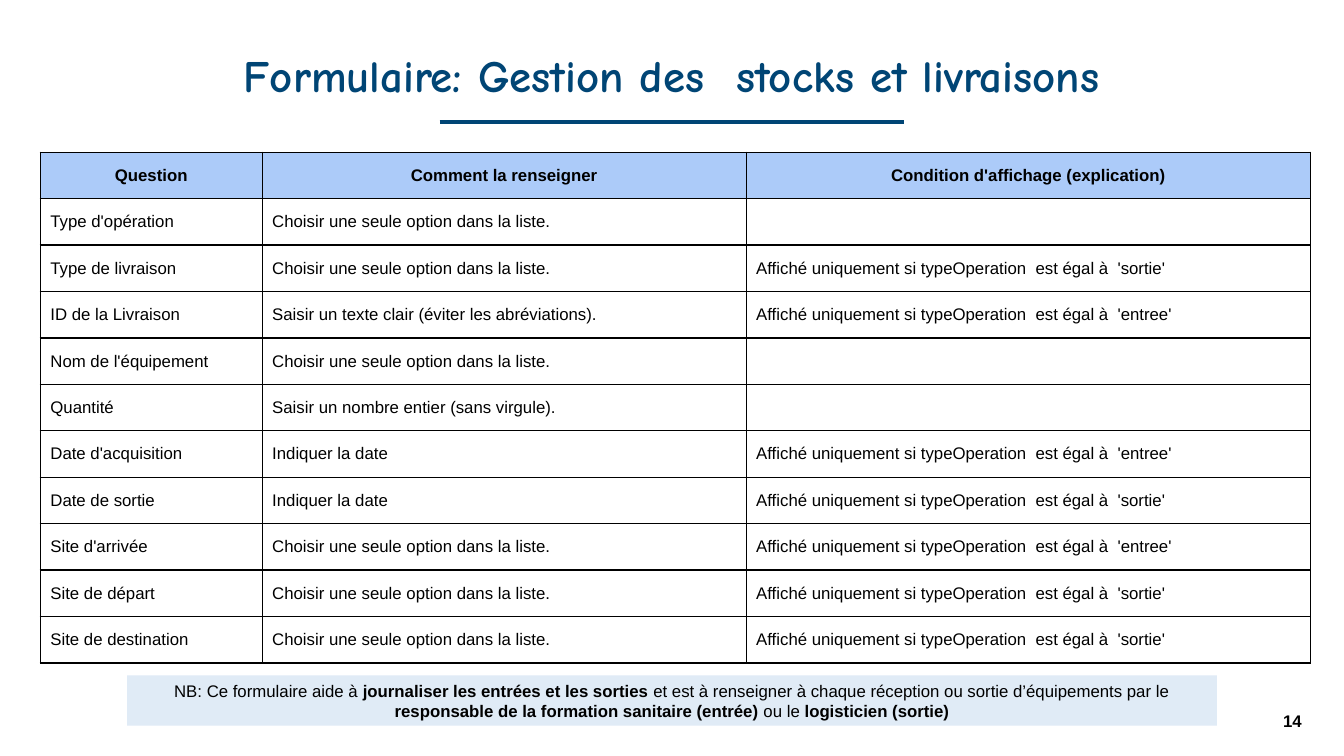
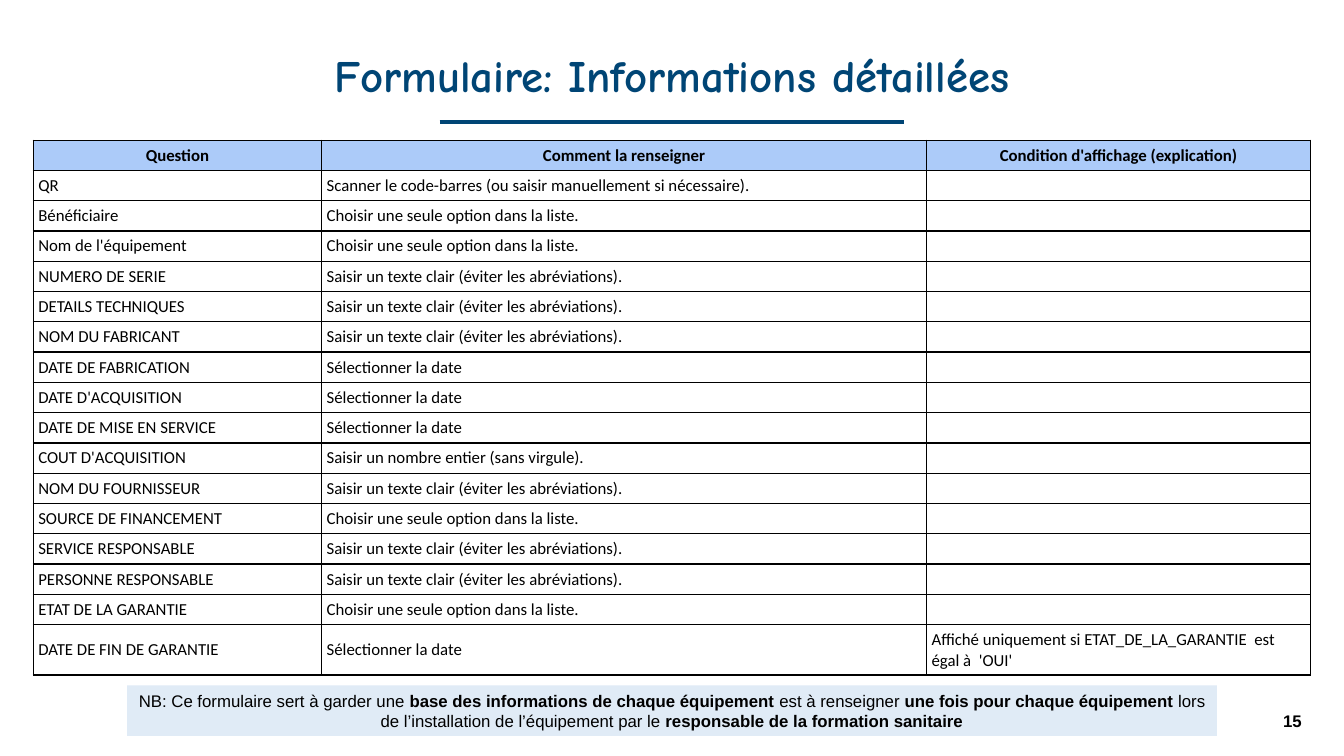
from lxml import etree
from pptx import Presentation
from pptx.dml.color import RGBColor
from pptx.enum import shapes, text
from pptx.oxml import ns
from pptx.util import Inches, Pt

WIDTH, HEIGHT = 13.33, 7.5
COLORS = {"title": "004575", "text": "000000", "header": "ACCBF9", "note": "E0EBF6"}
BODY_FONT, TITLE_FONT = "Arial", "Comic Neue"
CENTER = text.PP_ALIGN.CENTER

HEADER = ("Question", "Comment la renseigner", "Condition d'affichage (explication)")
CHOOSE = "Choisir une seule option dans la liste."
WRITE = "Saisir un texte clair (éviter les abréviations)."
NUMBER = "Saisir un nombre entier (sans virgule)."
DATE = "Indiquer la date"
PICK_DATE = "Sélectionner la date"
IF_OUT = "Affiché uniquement si typeOperation  est égal à  'sortie'"
IF_IN = "Affiché uniquement si typeOperation  est égal à  'entree'"
IF_WARRANTY = "Affiché uniquement si ETAT_DE_LA_GARANTIE  est égal à  'OUI'"

# In notes, ** switches bold on and off.
FORMS = [
    {
        "number": 14,
        "title": "Formulaire: Gestion des  stocks et livraisons",
        "font": "Arial",
        "origin": (0.4, 1.51),
        "columns": (2.2, 4.8, 5.6),
        "row_heights": [0.461] * 11,
        "margins": (0.1, 0.05),
        "rows": [
            ("Type d'opération", CHOOSE, ""),
            ("Type de livraison", CHOOSE, IF_OUT),
            ("ID de la Livraison", WRITE, IF_IN),
            ("Nom de l'équipement", CHOOSE, ""),
            ("Quantité", NUMBER, ""),
            ("Date d'acquisition", DATE, IF_IN),
            ("Date de sortie", DATE, IF_OUT),
            ("Site d'arrivée", CHOOSE, IF_IN),
            ("Site de départ", CHOOSE, IF_OUT),
            ("Site de destination", CHOOSE, IF_OUT),
        ],
        "note_top": 6.7,
        "note": "NB: Ce formulaire aide à **journaliser les entrées et les sorties **"
                "et est à renseigner à chaque réception ou sortie d’équipements par le "
                "**responsable de la formation sanitaire (entrée)** ou le "
                "**logisticien (sortie)**",
    },
    {
        "number": 15,
        "title": "Formulaire: Informations détaillées",
        "font": "Calibri",
        "origin": (0.33, 1.39),
        "columns": (2.86, 6.0, 3.81),
        "row_heights": [0.3] * 16 + [0.5],
        "margins": (0.05, 0.05),
        "rows": [
            ("QR", "Scanner le code-barres (ou saisir manuellement si nécessaire).", ""),
            ("Bénéficiaire", CHOOSE, ""),
            ("Nom de l'équipement", CHOOSE, ""),
            ("NUMERO DE SERIE", WRITE, ""),
            ("DETAILS TECHNIQUES", WRITE, ""),
            ("NOM DU FABRICANT", WRITE, ""),
            ("DATE DE FABRICATION", PICK_DATE, ""),
            ("DATE D'ACQUISITION", PICK_DATE, ""),
            ("DATE DE MISE EN SERVICE", PICK_DATE, ""),
            ("COUT D'ACQUISITION", NUMBER, ""),
            ("NOM DU FOURNISSEUR", WRITE, ""),
            ("SOURCE DE FINANCEMENT", CHOOSE, ""),
            ("SERVICE RESPONSABLE", WRITE, ""),
            ("PERSONNE RESPONSABLE", WRITE, ""),
            ("ETAT DE LA GARANTIE", CHOOSE, ""),
            ("DATE DE FIN DE GARANTIE", PICK_DATE, IF_WARRANTY),
        ],
        "note_top": 6.8,
        "note": "NB: Ce formulaire sert à garder une **base des informations de chaque "
                "équipement **est à renseigner **une fois pour chaque équipement **lors "
                "de l’installation de l’équipement par le "
                "**responsable de la formation sanitaire**",
    },
]


def rgb(name):
    return RGBColor.from_string(COLORS[name])


def write(frame, content, font=BODY_FONT, size=12, color="text", bold=False,
          align=text.PP_ALIGN.LEFT):
    """Fill a text frame; parts between ** marks get the opposite weight."""
    frame.word_wrap = True
    paragraph = frame.paragraphs[0]
    paragraph.alignment = align
    for index, part in enumerate(content.split("**")):
        if part:
            run = paragraph.add_run()
            run.text = part
            run.font.name, run.font.size = font, Pt(size)
            run.font.bold = bold != (index % 2 == 1)
            run.font.color.rgb = rgb(color)
    if not content:
        # The end mark's size keeps an empty table row from growing.
        etree.SubElement(paragraph._p, ns.qn("a:endParaRPr"), sz=str(size * 100))


def add_text(slide, box, content, **style):
    frame = slide.shapes.add_textbox(*map(Inches, box)).text_frame
    frame.vertical_anchor = text.MSO_ANCHOR.MIDDLE
    write(frame, content, **style)


def add_frame(slide, title, number):
    """Add the title, its underline and the page number."""
    title_width, line_width = 11.5, 4.61
    add_text(slide, ((WIDTH - title_width) / 2, 0.4, title_width, 0.68), title,
             font=TITLE_FONT, size=32, color="title", bold=True, align=CENTER)
    left = (WIDTH - line_width) / 2
    underline = slide.shapes.add_connector(
        shapes.MSO_CONNECTOR.STRAIGHT,
        *map(Inches, (left, 1.21, left + line_width, 1.21)))
    underline.line.color.rgb = rgb("title")
    underline.line.width = Pt(3)
    etree.SubElement(underline._element.spPr, ns.qn("a:effectLst"))
    add_text(slide, (12.1, 6.95, 0.91, 0.4), str(number), bold=True,
             align=text.PP_ALIGN.RIGHT)


def add_borders(cell):
    properties = cell._tc.get_or_add_tcPr()
    for side in ("lnL", "lnR", "lnT", "lnB"):
        line = etree.SubElement(properties, ns.qn("a:" + side), w=str(Pt(1)))
        fill = etree.SubElement(line, ns.qn("a:solidFill"))
        etree.SubElement(fill, ns.qn("a:srgbClr"), val=COLORS["text"])


def add_question_table(slide, form):
    rows = [HEADER] + form["rows"]
    widths, heights = form["columns"], form["row_heights"]
    box = (*form["origin"], sum(widths), sum(heights))
    table = slide.shapes.add_table(len(rows), len(widths), *map(Inches, box)).table
    table.first_row = table.horz_banding = False
    for column, width in zip(table.columns, widths):
        column.width = Inches(width)
    side, edge = map(Inches, form["margins"])
    for row_index, (row, height) in enumerate(zip(rows, heights)):
        table.rows[row_index].height = Inches(height)
        is_header = row_index == 0
        for column_index, content in enumerate(row):
            cell = table.cell(row_index, column_index)
            cell.margin_left = cell.margin_right = side
            cell.margin_top = cell.margin_bottom = edge
            cell.vertical_anchor = text.MSO_ANCHOR.MIDDLE
            add_borders(cell)
            if is_header:
                cell.fill.solid()
                cell.fill.fore_color.rgb = rgb("header")
            else:
                cell.fill.background()
            write(cell.text_frame, content, font=form["font"], bold=is_header,
                  align=CENTER if is_header else text.PP_ALIGN.LEFT)


def add_note(slide, top, content):
    width = 10.81
    box = ((WIDTH - width) / 2, top, width, 0.5)
    note = slide.shapes.add_shape(shapes.MSO_SHAPE.RECTANGLE, *map(Inches, box))
    note.shadow.inherit = False
    note.fill.solid()
    note.fill.fore_color.rgb = rgb("note")
    note.line.fill.background()
    note.text_frame.vertical_anchor = text.MSO_ANCHOR.MIDDLE
    write(note.text_frame, content, align=CENTER)


def main():
    presentation = Presentation()
    presentation.slide_width, presentation.slide_height = Inches(WIDTH), Inches(HEIGHT)
    for form in FORMS:
        slide = presentation.slides.add_slide(presentation.slide_layouts[6])
        add_frame(slide, form["title"], form["number"])
        add_question_table(slide, form)
        add_note(slide, form["note_top"], form["note"])
    presentation.save("out.pptx")


if __name__ == "__main__":
    main()
